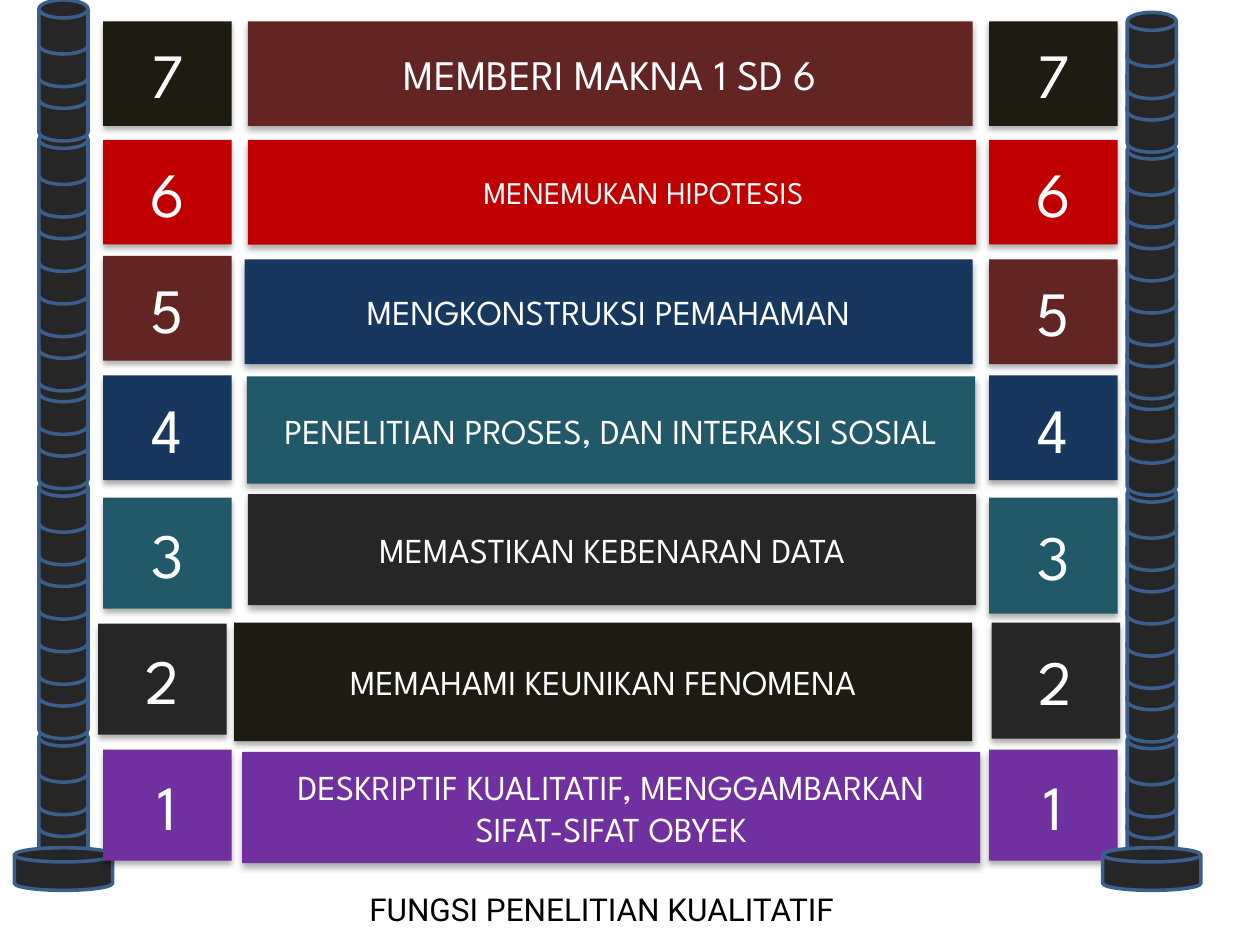
from dataclasses import dataclass

from lxml import etree
from pptx import Presentation
from pptx import util as u
from pptx.dml.color import RGBColor
from pptx.enum import shapes, text
from pptx.oxml import ns

SHAPE = shapes.MSO_SHAPE
SPARTAN = "League Spartan"
CHARCOAL, STEEL, WHITE = "262626", "3A5F8C", "FFFFFF"
NIGHT, RED, MAROON = "1E1C11", "C00000", "632523"
NAVY, TEAL, PURPLE = "17375E", "215968", "7030A0"

BADGE_WIDTH = 2.59
DISK_WIDTH, DISK_HEIGHT = 0.99, 1.09
BASE_TOP, BASE_WIDTH, BASE_HEIGHT = 17.09, 1.98, 0.86
# Disk positions along a pole, in steps of 1/75 of the distance from top to bottom disk
GROUP_STARTS = (0, 12, 23, 32, 44, 55, 67)
GROUP_STEPS = (0, 3, 5, 8)
LAST_STEP = 75


@dataclass(frozen=True)
class Area:
    """A rectangle in centimetres."""
    left: float
    top: float
    width: float
    height: float


@dataclass(frozen=True)
class Badge:
    left: float
    top: float
    height: float


@dataclass(frozen=True)
class Rung:
    number: int
    badge_fill: str
    badges: tuple[Badge, Badge]
    label: str
    bar: Area
    bar_fill: str
    size: int = 20


@dataclass(frozen=True)
class Pole:
    center: float
    top: float
    bottom: float


POLES = (Pole(1.28, 0, 16.43), Pole(23.22, 0.25, 16.46))

RUNGS = (
    Rung(1, PURPLE, (Badge(2.08, 15.11, 2.24), Badge(19.94, 15.11, 2.24)),
         "DESKRIPTIF KUALITATIF, MENGGAMBARKAN SIFAT-SIFAT OBYEK",
         Area(4.88, 15.16, 14.88, 2.24), PURPLE),
    Rung(2, CHARCOAL, (Badge(1.98, 12.57, 2.24), Badge(19.99, 12.55, 2.34)),
         "MEMAHAMI KEUNIKAN FENOMENA",
         Area(4.72, 12.55, 14.88, 2.39), NIGHT),
    Rung(3, TEAL, (Badge(2.08, 10.03, 2.24), Badge(19.94, 10.03, 2.34)),
         "MEMASTIKAN KEBENARAN DATA",
         Area(5, 9.96, 14.68, 2.24), CHARCOAL),
    Rung(4, NAVY, (Badge(2.08, 7.57, 2.11), Badge(19.94, 7.57, 2.11)),
         "PENELITIAN PROSES, DAN INTERAKSI SOSIAL",
         Area(4.98, 7.59, 14.68, 2.16), TEAL),
    Rung(5, MAROON, (Badge(2.08, 5.16, 2.11), Badge(19.94, 5.23, 2.11)),
         "MENGKONSTRUKSI PEMAHAMAN",
         Area(4.93, 5.23, 14.68, 2.11), NAVY),
    Rung(6, RED, (Badge(2.08, 2.82, 2.11), Badge(19.94, 2.82, 2.11)),
         "\tMENEMUKAN HIPOTESIS",
         Area(5, 2.82, 14.68, 2.11), RED, 18),
    Rung(7, NIGHT, (Badge(2.08, 0.43, 2.11), Badge(19.94, 0.43, 2.11)),
         "MEMBERI MAKNA 1 SD 6",
         Area(5, 0.43, 14.61, 2.11), MAROON, 24),
)


def color(value: str) -> RGBColor:
    return RGBColor.from_string(value)


def add_filled(parent, kind, area: Area, fill: str):
    lengths = (u.Cm(n) for n in (area.left, area.top, area.width, area.height))
    shape = parent.add_shape(kind, *lengths)
    shape.shadow.inherit = False
    shape.fill.solid()
    shape.fill.fore_color.rgb = color(fill)
    return shape


def add_soft_shadow(shape) -> None:
    """Cast a faint black shadow straight down."""
    effects = shape._element.spPr.find(ns.qn("a:effectLst"))
    shadow = etree.SubElement(
        effects, ns.qn("a:outerShdw"), blurRad=str(u.Pt(3.5)),
        dist=str(u.Pt(2.2)), dir="5400000", rotWithShape="0")
    black = etree.SubElement(shadow, ns.qn("a:srgbClr"), val="000000")
    etree.SubElement(black, ns.qn("a:alpha"), val="32000")


def format_text(frame, font: str, size: int, fill: str, align, anchor) -> None:
    frame.word_wrap = True
    frame.vertical_anchor = anchor
    for para in frame.paragraphs:
        para.alignment = align
        for span in para.runs:
            span.font.name = font
            span.font.size = u.Pt(size)
            span.font.color.rgb = color(fill)


def add_panel(slide, kind, area: Area, fill: str, label: str, size: int):
    """Add a shadowed block with a centred white label."""
    panel = add_filled(slide.shapes, kind, area, fill)
    panel.line.fill.background()
    add_soft_shadow(panel)
    panel.text_frame.text = label
    format_text(panel.text_frame, SPARTAN, size, WHITE,
                text.PP_ALIGN.CENTER, text.MSO_ANCHOR.MIDDLE)
    return panel


def add_rung(slide, rung: Rung) -> None:
    for badge in rung.badges:
        area = Area(badge.left, badge.top, BADGE_WIDTH, badge.height)
        add_panel(slide, SHAPE.RECTANGLE, area, rung.badge_fill, str(rung.number), 36)
    bar = add_panel(slide, SHAPE.PENTAGON, rung.bar, rung.bar_fill, rung.label, rung.size)
    bar.adjustments[0] = 0


def add_disk(group, area: Area) -> None:
    disk = add_filled(group.shapes, SHAPE.FLOWCHART_MAGNETIC_DISK, area, CHARCOAL)
    disk.line.color.rgb = color(STEEL)
    disk.line.width = u.Pt(2)


def add_pole(slide, pole: Pole) -> None:
    """Stack disks from the bottom up, then set the wide base in front."""
    group = slide.shapes.add_group_shape()
    step = (pole.bottom - pole.top) / LAST_STEP
    positions = [start + offset for start in GROUP_STARTS for offset in GROUP_STEPS]
    for position in reversed(positions):
        add_disk(group, Area(pole.center - DISK_WIDTH / 2, pole.top + position * step,
                             DISK_WIDTH, DISK_HEIGHT))
    add_disk(group, Area(pole.center - BASE_WIDTH / 2, BASE_TOP, BASE_WIDTH, BASE_HEIGHT))


def place_title(slide) -> None:
    title = slide.shapes.title
    title.left, title.top = u.Cm(7.19), u.Cm(17.81)
    title.width, title.height = u.Cm(12.42), u.Cm(1.02)
    title.text_frame.text = "FUNGSI PENELITIAN KUALITATIF"
    title.text_frame.auto_size = text.MSO_AUTO_SIZE.NONE
    format_text(title.text_frame, "Roboto", 18, "000000",
                text.PP_ALIGN.LEFT, text.MSO_ANCHOR.TOP)


def main() -> None:
    deck = Presentation()
    deck.slide_width, deck.slide_height = u.Cm(25.4), u.Cm(19.05)
    slide = deck.slides.add_slide(deck.slide_layouts.get_by_name("Title Only"))
    left_pole, right_pole = POLES
    place_title(slide)
    add_pole(slide, left_pole)
    for rung in RUNGS:
        add_rung(slide, rung)
    add_pole(slide, right_pole)
    deck.save("out.pptx")


if __name__ == "__main__":
    main()
